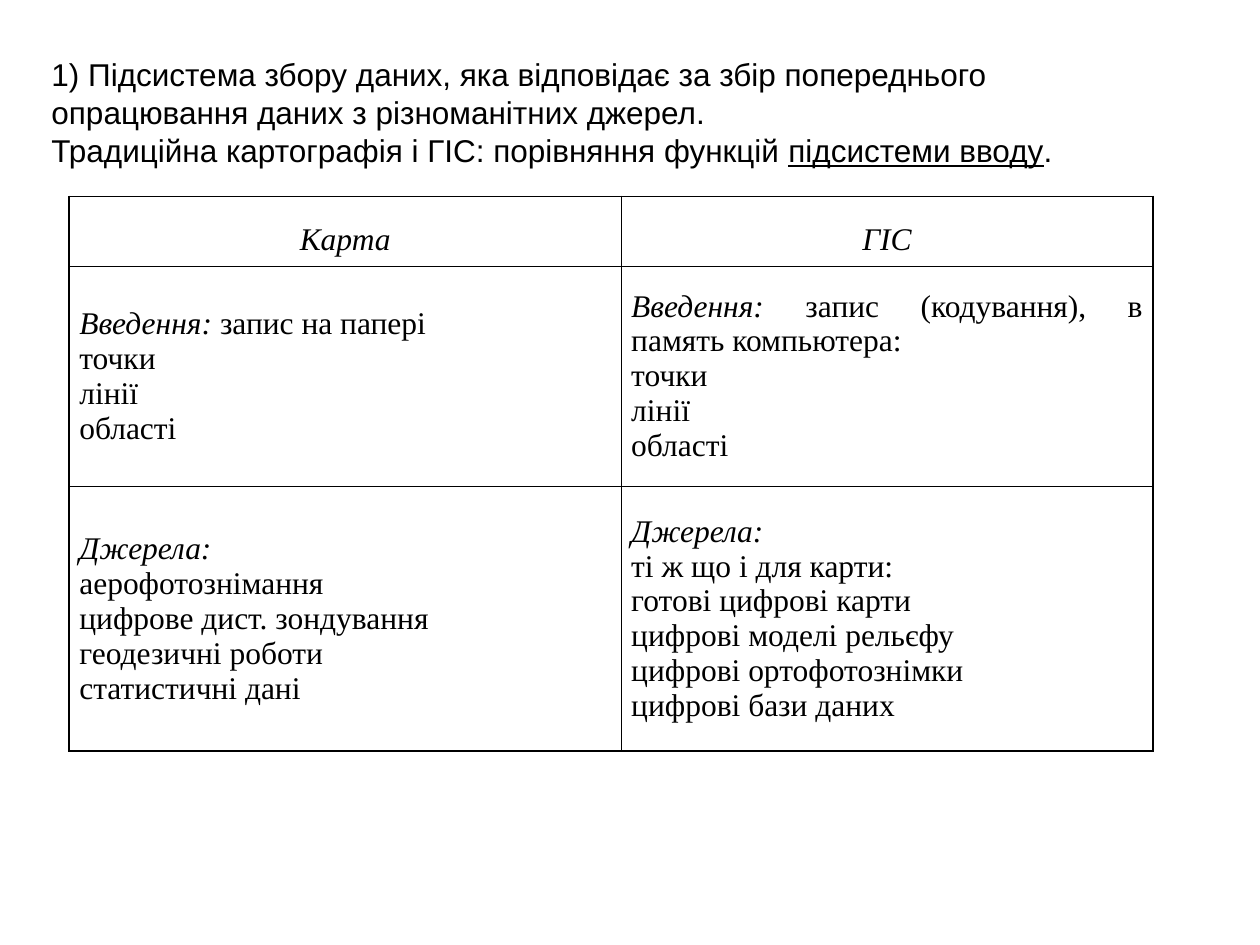
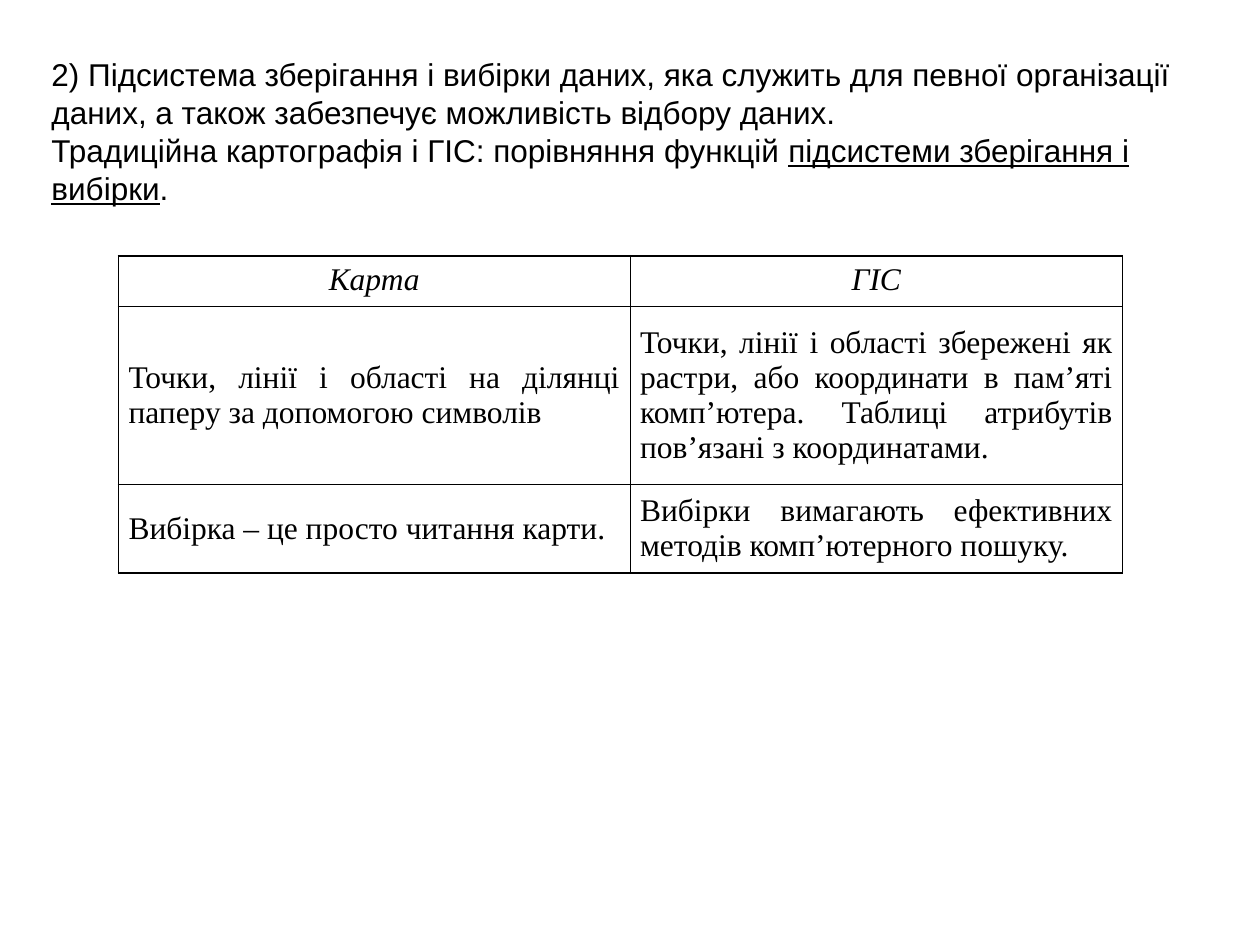
import dataclasses
import pptx
import pptx.util
import pptx.dml.color
import pptx.enum.text
import pptx.oxml
import pptx.oxml.ns

Inches = pptx.util.Inches
Pt = pptx.util.Pt
ALIGN = pptx.enum.text.PP_ALIGN
ANCHOR = pptx.enum.text.MSO_ANCHOR


@dataclasses.dataclass(frozen=True)
class Theme:
    ink: str = "000000"
    title_font: str = "Arial"
    table_font: str = "Times New Roman"
    size: float = 18
    outer: float = 1.08
    inner: float = 0.45


THEME = Theme()
TITLE_MARK = {"underline": True}
TABLE_MARK = {"italic": True}
CELL_FORMAT = {
    "margin_left": Inches(0.08),
    "margin_right": Inches(0.08),
    "margin_top": Inches(0.05),
    "margin_bottom": Inches(0.05),
}
HEADINGS = ["|Карта|", "|ГІС|"]

SLIDES = [
    {
        "title_box": (0.31, 0.39, 9.25, 1.09),
        "title": [
            "1) Підсистема збору даних, яка відповідає за збір попереднього "
            "опрацювання даних з різноманітних джерел.",
            "Традиційна картографія і ГІС: порівняння функцій |підсистеми вводу|.",
        ],
        "table_at": (0.55, 1.56),
        "cols": [4.38, 4.22],
        "rows": [0.52, 1.75, 2.1],
        "head_anchor": ANCHOR.MIDDLE,
        "head_spacing": 1.5,
        "body": [
            [
                ["|Введення: |запис на папері", "точки", "лінії", "області"],
                ["|Введення:| запис (кодування), в память компьютера:",
                 "точки", "лінії", "області"],
            ],
            [
                ["|Джерела:|", "аерофотознімання", "цифрове дист. зондування",
                 "геодезичні роботи", "статистичні дані"],
                ["|Джерела:|", "ті ж що і для карти:", "готові цифрові карти",
                 "цифрові моделі рельєфу", "цифрові ортофотознімки",
                 "цифрові бази даних"],
            ],
        ],
    },
    {
        "title_box": (0.31, 0.39, 9.25, 1.33),
        "title": [
            "2) Підсистема зберігання і вибірки даних, яка служить для певної "
            "організації даних, а також забезпечує можливість відбору даних.",
            "Традиційна картографія і ГІС: порівняння функцій "
            "|підсистеми зберігання і вибірки|.",
        ],
        "table_at": (0.94, 2.03),
        "cols": [4.06, 3.91],
        "rows": [0.36, 1.41, 0.71],
        "head_anchor": ANCHOR.TOP,
        "head_spacing": 1.0,
        "body": [
            [
                ["Точки, лінії і області на ділянці паперу за допомогою символів"],
                ["Точки, лінії і області збережені як растри, або координати "
                 "в пам’яті комп’ютера. Таблиці атрибутів пов’язані з координатами."],
            ],
            [
                ["Вибірка – це просто читання карти."],
                ["Вибірки вимагають ефективних методів комп’ютерного пошуку."],
            ],
        ],
    },
]


def apply(obj, values):
    for name, value in values.items():
        setattr(obj, name, value)


def write(tf, lines, font, mark, layout):
    for i, line in enumerate(lines):
        p = tf.paragraphs[0] if i == 0 else tf.add_paragraph()
        apply(p, layout)
        for j, part in enumerate(line.split("|")):
            if not part:
                continue
            r = p.add_run()
            r.text = part
            apply(r.font, {"name": font, "size": Pt(THEME.size)})
            r.font.color.rgb = pptx.dml.color.RGBColor.from_string(THEME.ink)
            if j % 2:
                apply(r.font, mark)


def add_borders(cell, widths):
    tc_pr = cell._tc.get_or_add_tcPr()
    for i, (side, width) in enumerate(widths.items()):
        line = pptx.oxml.parse_xml(
            f'<a:ln{side} {pptx.oxml.ns.nsdecls("a")} w="{int(Pt(width))}">'
            f'<a:solidFill><a:srgbClr val="{THEME.ink}"/></a:solidFill></a:ln{side}>'
        )
        tc_pr.insert(i, line)


def add_title(s, box, lines):
    sp = s.shapes.add_textbox(*map(Inches, box))
    sp.text_frame.word_wrap = True
    write(sp.text_frame, lines, THEME.title_font, TITLE_MARK, {"alignment": ALIGN.LEFT})


def add_comparison(s, data):
    cols, rows = data["cols"], data["rows"]
    box = (*data["table_at"], sum(cols), sum(rows))
    table = s.shapes.add_table(len(rows), len(cols), *map(Inches, box)).table
    apply(table, {"first_row": False, "horz_banding": False})
    for col, width in zip(table.columns, cols):
        col.width = Inches(width)
    for row, height in zip(table.rows, rows):
        row.height = Inches(height)

    head = {"alignment": ALIGN.CENTER, "line_spacing": data["head_spacing"]}
    texts = [[[heading] for heading in HEADINGS], *data["body"]]
    for y, row in enumerate(texts):
        for x, lines in enumerate(row):
            cell = table.cell(y, x)
            apply(cell, CELL_FORMAT)
            cell.vertical_anchor = ANCHOR.MIDDLE if y else data["head_anchor"]
            cell.fill.background()
            edges = {"L": x == 0, "R": x == len(cols) - 1,
                     "T": y == 0, "B": y == len(rows) - 1}
            add_borders(cell, {side: THEME.outer if outside else THEME.inner
                               for side, outside in edges.items()})
            layout = {"alignment": ALIGN.JUSTIFY} if y else head
            write(cell.text_frame, lines, THEME.table_font, TABLE_MARK, layout)


def add_comparison_slide(prs, data):
    s = prs.slides.add_slide(prs.slide_layouts[6])
    add_title(s, data["title_box"], data["title"])
    add_comparison(s, data)


def main():
    prs = pptx.Presentation()
    apply(prs, {"slide_width": Inches(10), "slide_height": Inches(7.5)})
    for data in SLIDES:
        add_comparison_slide(prs, data)
    prs.save("out.pptx")


if __name__ == "__main__":
    main()
